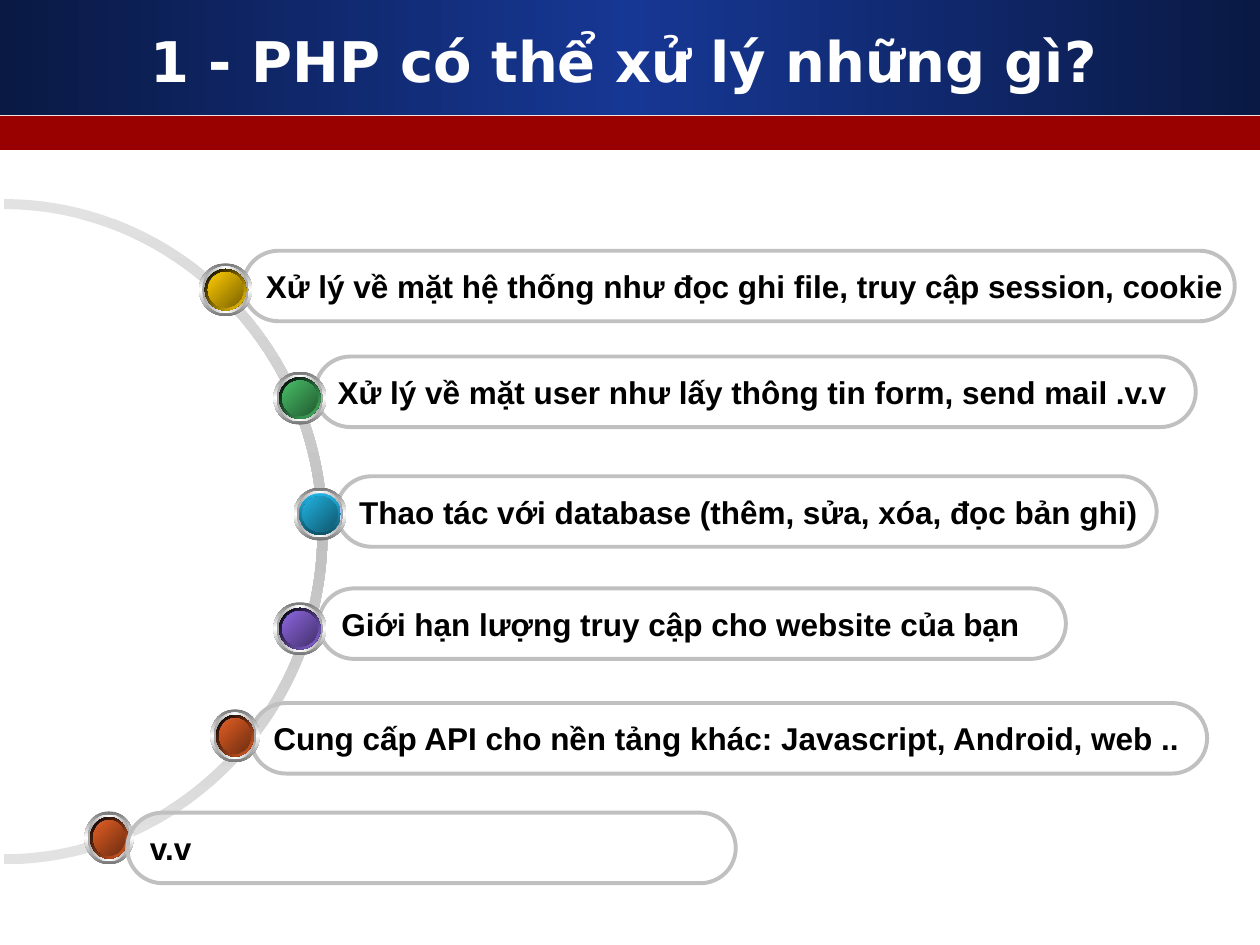
from pptx import Presentation
from pptx.dml.color import RGBColor
from pptx.enum.shapes import MSO_SHAPE as Shape
from pptx.enum.text import MSO_ANCHOR as Anchor, PP_ALIGN as Align
from pptx.oxml import parse_xml
from pptx.oxml.ns import nsdecls, qn
from pptx.util import Inches, Pt

HUE = {
    "white": "FFFFFF", "black": "000000", "navy": "0A1944", "blue": "163794",
    "red": "990000", "pale": "E2E2E2", "gray": "C0C0C0", "steel": "767676",
    "ash": "A2A2A2", "sky": "6699FF", "slate": "37538A",
    "gold": "FFCC00", "bronze": "7C6300", "green": "48BE67", "moss": "235C32",
    "cyan": "21B3E1", "teal": "10576D", "deep": "0F5368",
    "violet": "8D67E1", "plum": "45326D", "orange": "E35E23", "rust": "6E2E11",
}

# Bead left, top, width, light and dark colour; pill left, top, width; wording
ROWS = [
    ((1.58, 2.09, 0.42, "gold", "bronze"), (1.93, 1.99, 7.87),
     "Xử lý về mặt hệ thống như đọc ghi file, truy cập session, cookie"),
    ((2.17, 2.95, 0.42, "green", "moss"), (2.5, 2.83, 6.99),
     "Xử lý về mặt user như lấy thông tin form, send mail .v.v"),
    ((2.33, 3.87, 0.42, "cyan", "teal"), (2.67, 3.78, 6.51),
     "Thao tác với database (thêm, sửa, xóa, đọc bản ghi)"),
    ((2.17, 4.78, 0.42, "violet", "plum"), (2.53, 4.67, 5.93),
     "Giới hạn lượng truy cập cho website của bạn"),
    ((1.67, 5.63, 0.39, "orange", "rust"), (1.99, 5.58, 7.59),
     "Cung cấp API cho nền tảng khác: Javascript, Android, web .."),
    ((0.67, 6.44, 0.39, "orange", "rust"), (1.01, 6.45, 4.83), "v.v"),
]


def rgb(name):
    return RGBColor.from_string(HUE[name])


def blend(shape, names, angle):
    """Fill a shape with evenly spaced gradient stops and no line."""
    shape.shadow.inherit = False
    shape.line.fill.background()
    step = 100000 // (len(names) - 1)
    stops = "".join(
        f'<a:gs pos="{i * step}"><a:srgbClr val="{HUE[name]}"/></a:gs>'
        for i, name in enumerate(names))
    shape._element.spPr.insert(2, parse_xml(
        f'<a:gradFill {nsdecls("a")} rotWithShape="1"><a:gsLst>{stops}</a:gsLst>'
        f'<a:lin ang="{angle * 60000}" scaled="0"/></a:gradFill>'))


def add(shapes, kind, left, top, width, height):
    return shapes.add_shape(
        kind, Inches(left), Inches(top), Inches(width), Inches(height))


def write(para, text, font, size, color):
    run = para.add_run()
    run.text = text
    run.font.name = font
    run.font.size = Pt(size)
    run.font.bold = True
    run.font.color.rgb = rgb(color)


def header(slide, text, width):
    band = add(slide.shapes, Shape.RECTANGLE, 0, 0, width, 0.91)
    blend(band, ("navy", "blue", "navy"), 0)
    strip = add(slide.shapes, Shape.RECTANGLE, 0, 0.92, width, 0.27)
    strip.shadow.inherit = False
    strip.fill.solid()
    strip.fill.fore_color.rgb = rgb("red")
    strip.line.fill.background()

    title = slide.shapes.title
    slide.shapes._spTree.append(title._element)
    title.left, title.top = Inches(0.33), Inches(0.17)
    title.width, title.height = Inches(9.25), Inches(0.62)
    title.text_frame.vertical_anchor = Anchor.MIDDLE
    title.text_frame.word_wrap = True
    para = title.text_frame.paragraphs[0]
    para.alignment = Align.CENTER
    write(para, text, "DejaVu Sans", 32, "white")


def arc(slide, left, top, width, height, thick=0.08):
    """Draw the right half of an elliptical ring with four curves."""
    bend = 0.55

    def edge(inset):
        rx, ry = width - inset, height / 2 - inset
        grid = [(0, -1), (bend, -1), (1, -bend), (1, 0),
                (1, bend), (bend, 1), (0, 1)]
        return [(Inches(left + rx * x), Inches(top + height / 2 + ry * y))
                for x, y in grid]

    points = edge(0) + edge(thick)[::-1]
    pen = slide.shapes.build_freeform(*points[0])
    pen.add_line_segments(points[1:], close=True)
    shape = pen.convert_to_shape()
    legs = list(shape._element.iter(qn("a:lnTo")))
    for start in (0, 3, 7, 10):
        curve = parse_xml(f'<a:cubicBezTo {nsdecls("a")}/>')
        legs[start].addprevious(curve)
        for leg in legs[start:start + 3]:
            curve.append(leg[0])
            leg.getparent().remove(leg)
    blend(shape, ("pale", "gray", "pale"), 90)


def pill(slide, left, top, width, text):
    box = add(slide.shapes, Shape.ROUNDED_RECTANGLE, left, top, width, 0.56)
    box.adjustments[0] = 0.5
    box.shadow.inherit = False
    box.fill.background()
    box.line.color.rgb = rgb("gray")
    box.line.width = Pt(2.25)
    frame = box.text_frame
    frame.word_wrap = False
    frame.vertical_anchor = Anchor.MIDDLE
    para = frame.paragraphs[0]
    para.alignment = Align.LEFT
    write(para, text, "Arial", 18, "black")


def bead(slide, left, top, width, light, dark, height=0.42):
    """Stack shrinking ellipses into a ringed, shaded ball."""
    rim = ((light, "deep"), 90) if light == "cyan" else (("black", light), 45)
    layers = [
        (0, ("steel", "white", "steel"), 90),
        (0.05, ("ash", "white", "ash"), 0),
        (0.09, ("white", "sky", "white"), 45),
        (0.09, *rim),
        (0.14, ("slate", "sky", "slate"), 315),
        (0.14, (light, dark), 45),
    ]
    group = slide.shapes.add_group_shape()
    for cut, names, angle in layers:
        ball = add(group.shapes, Shape.OVAL, left + cut / 2, top + cut / 2,
                   width - cut, height - cut)
        blend(ball, names, angle)


def main():
    deck = Presentation()
    deck.slide_width, deck.slide_height = Inches(10), Inches(7.5)
    slide = deck.slides.add_slide(deck.slide_layouts[5])
    header(slide, "1 - PHP có thể xử lý những gì?", 10)
    arc(slide, 0.03, 1.58, 2.57, 5.28)
    for _, spot, text in ROWS[-2::-1]:
        pill(slide, *spot, text)
    for ball, _, _ in ROWS:
        bead(slide, *ball)
    _, spot, text = ROWS[-1]
    pill(slide, *spot, text)
    deck.save("out.pptx")


if __name__ == "__main__":
    main()
